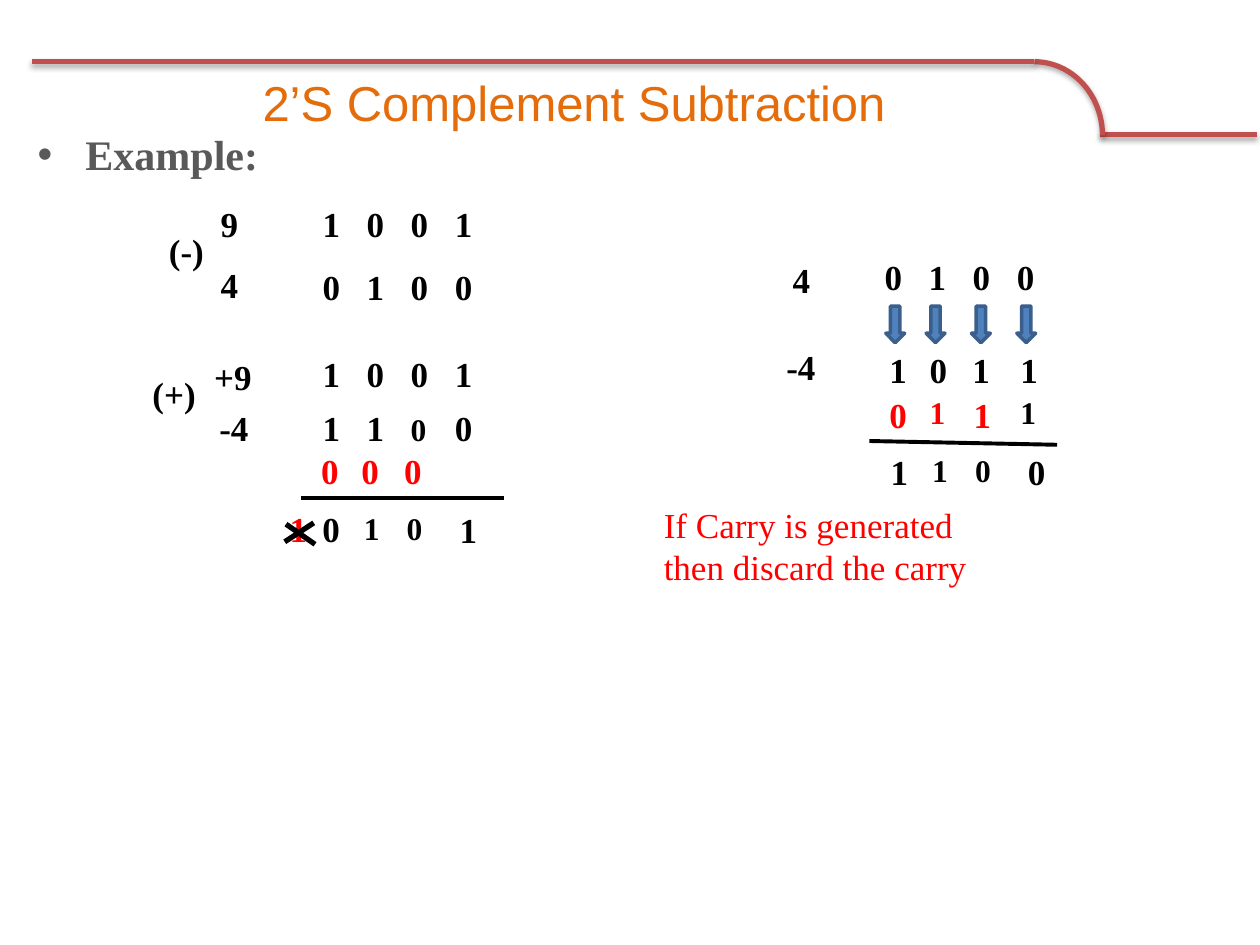
from lxml import etree
from pptx import Presentation
from pptx.dml.color import RGBColor
from pptx.enum.shapes import MSO_CONNECTOR, MSO_SHAPE
from pptx.enum.text import MSO_ANCHOR, PP_ALIGN
from pptx.oxml import parse_xml
from pptx.oxml.ns import nsdecls, qn
from pptx.util import Inches, Pt

SERIF = "Times New Roman"
BLACK, RED, FRAME = "000000", "FF0000", "C0504D"
SHADOW = (
    f'<a:effectLst {nsdecls("a")}><a:outerShdw blurRad="40000" dist="23000" dir="5400000" '
    'rotWithShape="0"><a:srgbClr val="000000"><a:alpha val="35000"/></a:srgbClr>'
    "</a:outerShdw></a:effectLst>"
)

prs = Presentation()
prs.slide_width, prs.slide_height = Inches(10), Inches(7.5)
s = prs.slides.add_slide(prs.slide_layouts[6])


def add_text(text, x, y, w, h=0.44, size=20, color=BLACK, bold=True, font=SERIF, indent=0):
    """Add a one-paragraph box; indent pushes the text right inside it."""
    tf = s.shapes.add_textbox(Inches(x), Inches(y), Inches(w), Inches(h)).text_frame
    tf.word_wrap = True
    tf.margin_left = Inches(0.1 + indent)
    if indent:
        tf.margin_right = 0
    p = tf.paragraphs[0]
    p.text = text
    for r in p.runs:
        r.font.name, r.font.size, r.font.bold = font, Pt(size), bold
        r.font.color.rgb = RGBColor.from_string(color)
    return tf


def add_line(x1, y1, x2, y2, width, color=BLACK, effect=f'<a:effectLst {nsdecls("a")}/>'):
    sp = s.shapes.add_connector(
        MSO_CONNECTOR.STRAIGHT, Inches(x1), Inches(y1), Inches(x2), Inches(y2))
    sp.line.width = Pt(width)
    sp.line.color.rgb = RGBColor.from_string(color)
    sp._element.spPr.append(parse_xml(effect))


# Stepped frame at the top
add_line(8.73, 1.07, 9.98, 1.07, 3, FRAME, SHADOW)
arc = s.shapes.add_shape(MSO_SHAPE.ARC, Inches(7.67), Inches(0.49), Inches(1.08), Inches(1.17))
arc.fill.background()
arc.line.width = Pt(3)
arc.line.color.rgb = RGBColor.from_string(FRAME)
arc._element.spPr.append(parse_xml(SHADOW))
add_line(8.21, 0.49, 0.25, 0.49, 3, FRAME, SHADOW)

# Title and bullet
tf = add_text("2’S Complement Subtraction", 0.69, 0.45, 7.73, 0.71, 28, "E46C0A", False, "Arial")
tf.vertical_anchor = MSO_ANCHOR.MIDDLE
tf.paragraphs[0].alignment = PP_ALIGN.CENTER

tf = add_text("Example:", 0.2, 0.97, 9.12, 5.78, 24, "595959")
pPr = tf.paragraphs[0]._p.get_or_add_pPr()
pPr.set("marL", str(Inches(0.38)))
pPr.set("indent", str(Inches(-0.38)))
etree.SubElement(pPr, qn("a:buFont")).set("typeface", "Arial")
etree.SubElement(pPr, qn("a:buChar")).set("char", "•")

# Decimal values and operators
for text, x, y, w in [
    ("9", 1.15, 1.56, 0.85), ("4", 1.15, 2.04, 0.99), ("(-)", 0.74, 1.77, 0.99),
    ("+9", 1.1, 2.77, 1.01), ("-4", 1.14, 3.18, 1.15), ("(+)", 0.61, 2.91, 1.15),
    ("4", 5.69, 2, 0.99), ("-4", 5.64, 2.69, 1.15),
]:
    add_text(text, x, y, w, indent=0.5)

# Four-bit operands, one tab stop per digit
for bits, x, y in [
    ("1001", 1.96, 1.56), ("0100", 1.96, 2.06), ("1001", 1.96, 2.75),
    ("1100", 1.96, 3.18), ("0100", 6.42, 1.98),
]:
    tf = add_text("", x, y, 2.11, indent=0.5)
    p = tf.paragraphs[0]
    tabs = etree.SubElement(p._p.get_or_add_pPr(), qn("a:tabLst"))
    for i in range(1, 4):
        tab = etree.SubElement(tabs, qn("a:tab"))
        tab.set("pos", str(Inches(0.35 * i)))
        tab.set("algn", "l")
    for i, bit in enumerate(bits):
        r = p.add_run()
        r.text = "\t" + bit if i else bit
        r.font.name, r.font.bold = SERIF, True
        r.font.size = Pt(18 if (y, i) == (3.18, 2) else 20)
        r.font.color.rgb = RGBColor.from_string(BLACK)

# Arrows from each bit to its complement
for x in (7.03, 7.35, 7.71, 8.07):
    sp = s.shapes.add_shape(MSO_SHAPE.DOWN_ARROW, Inches(x), Inches(2.43), Inches(0.15), Inches(0.29))
    sp.shadow.inherit = False
    sp.fill.solid()
    sp.fill.fore_color.rgb = RGBColor.from_string("4F81BD")
    sp.line.color.rgb = RGBColor.from_string("3A5F8C")
    sp.line.width = Pt(2)

# Single digits by row: top, then (digit, left, size, colour)
digit_rows = [
    (2.72, [("1", 6.96, 20, BLACK), ("0", 7.28, 20, BLACK), ("1", 7.62, 20, BLACK), ("1", 8, 20, BLACK)]),
    (3.07, [("0", 6.96, 20, RED), ("1", 7.28, 18, RED), ("1", 7.63, 20, RED), ("1", 8, 18, BLACK)]),
    (3.53, [("1", 6.97, 20, BLACK), ("1", 7.3, 18, BLACK), ("0", 7.64, 18, BLACK), ("0", 8.06, 20, BLACK)]),
    (3.52, [("0", 2.45, 20, RED), ("0", 2.77, 20, RED), ("0", 3.11, 20, RED)]),
    (3.98, [("1", 2.2, 20, RED), ("0", 2.46, 20, BLACK)]),
    (3.99, [("1", 2.79, 18, BLACK), ("0", 3.13, 18, BLACK), ("1", 3.55, 20, BLACK)]),
]
for y, digits in digit_rows:
    for digit, x, size, color in digits:
        add_text(digit, x, y, 0.33, size=size, color=color)

add_text("If Carry is generated then discard the carry", 5.17, 3.95, 2.86, 0.77, color=RED, bold=False)

# Sum rules, and the cross over the discarded carry
add_line(2.39, 3.95, 4, 3.95, 2.25)
add_line(6.9, 3.5, 8.39, 3.53, 2.25)
add_line(2.27, 4.16, 2.5, 4.32, 3)
add_line(2.26, 4.3, 2.49, 4.15, 3)

prs.save("out.pptx")
